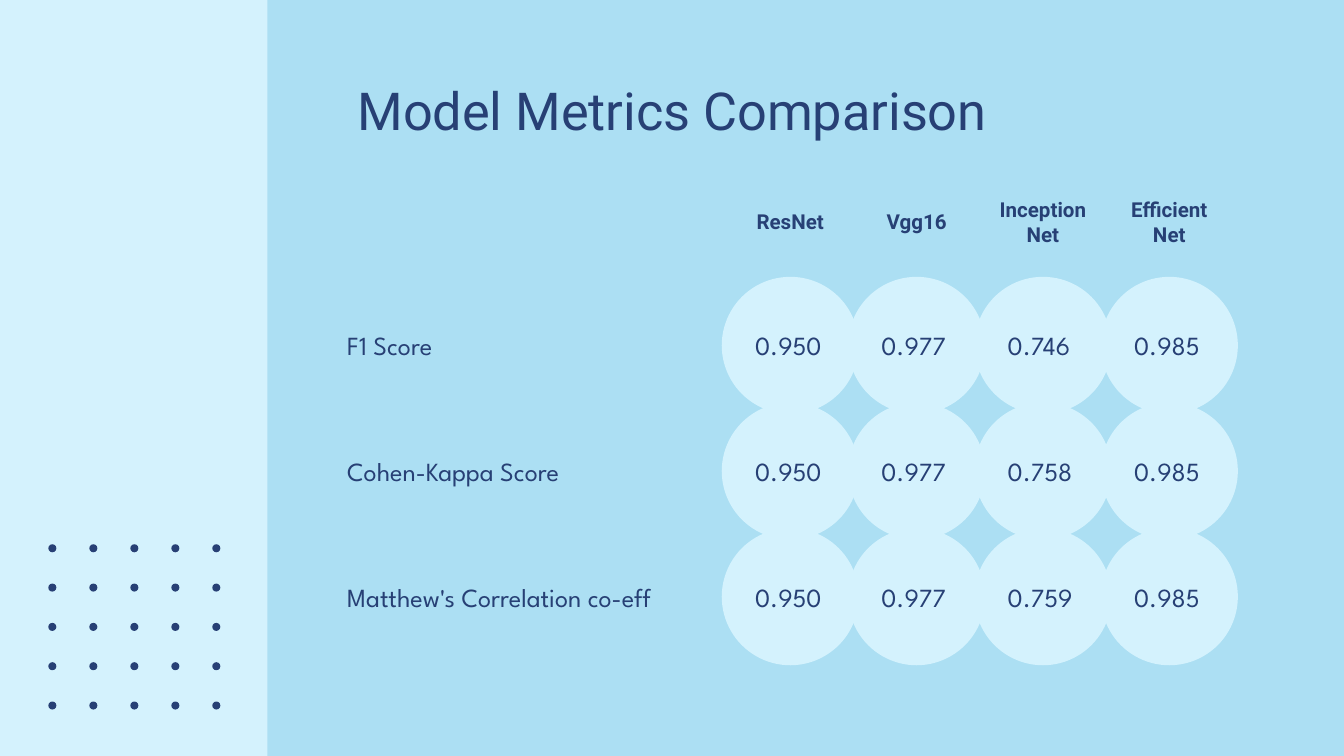
from dataclasses import dataclass
from itertools import product

from pptx import Presentation
from pptx.dml.color import RGBColor
from pptx.enum.shapes import MSO_SHAPE
from pptx.enum.text import MSO_ANCHOR, PP_ALIGN
from pptx.util import Inches, Pt


@dataclass(frozen=True)
class Theme:
    background: str = "ACDFF3"
    light: str = "D4F2FD"
    ink: str = "274075"
    heading_font: str = "Roboto"
    body_font: str = "League Spartan"
    title_size: int = 28
    header_size: int = 11
    body_size: int = 14
    inset: float = 0.1


@dataclass(frozen=True)
class Grid:
    first_x: float
    first_y: float
    span_x: float
    span_y: float
    columns: int
    rows: int

    def x(self, column):
        return self.first_x + column * self.span_x / (self.columns - 1)

    def y(self, row):
        return self.first_y + row * self.span_y / (self.rows - 1)


THEME = Theme()
SLIDE_WIDTH = 10
SLIDE_HEIGHT = SLIDE_WIDTH * 9 / 16
PANEL_WIDTH = 1.99
DOT_SIZE = 0.06
CIRCLE_SIZE = 1.02
LABEL_HEIGHT = 0.53
HEADER_Y = 1.65
DOTS = Grid(0.39, 4.08, 1.22, 1.17, columns=5, rows=5)
SCORES = Grid(5.88, 2.57, 2.82, 1.87, columns=4, rows=3)

MODELS = [["ResNet"], ["Vgg16"], ["Inception", "Net"], ["Efficient", "Net"]]
METRICS = {
    "F1 Score": ["0.950", "0.977", "0.746", "0.985"],
    "Cohen-Kappa Score": ["0.950", "0.977", "0.758", "0.985"],
    "Matthew's Correlation co-eff": ["0.950", "0.977", "0.759", "0.985"],
}


def color(value):
    return RGBColor.from_string(value)


def centered_box(x, y, width, height):
    return [Inches(n) for n in (x - width / 2, y - height / 2, width, height)]


def write_text(shape, lines, size, font, bold=False,
               align=PP_ALIGN.LEFT, anchor=MSO_ANCHOR.MIDDLE):
    frame = shape.text_frame
    frame.word_wrap = True
    frame.vertical_anchor = anchor
    frame.margin_left = frame.margin_right = Inches(THEME.inset)
    frame.margin_top = frame.margin_bottom = Inches(THEME.inset)
    for index, line in enumerate(lines):
        paragraph = frame.add_paragraph() if index else frame.paragraphs[0]
        paragraph.alignment = align
        run = paragraph.add_run()
        run.text = line
        run.font.name = font
        run.font.size = Pt(size)
        run.font.bold = bold
        run.font.color.rgb = color(THEME.ink)


def add_filled(slide, kind, box, fill):
    shape = slide.shapes.add_shape(kind, *box)
    shape.shadow.inherit = False
    shape.fill.solid()
    shape.fill.fore_color.rgb = color(fill)
    shape.line.fill.background()
    return shape


def add_side_panel(slide):
    box = centered_box(PANEL_WIDTH / 2, SLIDE_HEIGHT / 2, PANEL_WIDTH, SLIDE_HEIGHT)
    add_filled(slide, MSO_SHAPE.RECTANGLE, box, THEME.light)
    for column, row in product(range(DOTS.columns), range(DOTS.rows)):
        box = centered_box(DOTS.x(column), DOTS.y(row), DOT_SIZE, DOT_SIZE)
        add_filled(slide, MSO_SHAPE.OVAL, box, THEME.ink)


def add_title(slide, text):
    box = centered_box(SLIDE_WIDTH / 2, 0.8, 8.43, 0.63)
    write_text(slide.shapes.add_textbox(*box), [text], THEME.title_size,
               THEME.heading_font, align=PP_ALIGN.CENTER, anchor=MSO_ANCHOR.TOP)


def add_model_header(slide, column, lines):
    box = centered_box(SCORES.x(column), HEADER_Y, 0.99, LABEL_HEIGHT)
    write_text(slide.shapes.add_textbox(*box), lines, THEME.header_size,
               THEME.heading_font, bold=True, align=PP_ALIGN.CENTER)


def add_metric_label(slide, row, text):
    box = centered_box(3.84, SCORES.y(row), 2.71, LABEL_HEIGHT)
    write_text(slide.shapes.add_textbox(*box), [text],
               THEME.body_size, THEME.body_font)


def add_score(slide, column, row, value):
    box = centered_box(SCORES.x(column), SCORES.y(row), CIRCLE_SIZE, CIRCLE_SIZE)
    circle = add_filled(slide, MSO_SHAPE.OVAL, box, THEME.light)
    write_text(circle, [value], THEME.body_size, THEME.body_font)


def main():
    presentation = Presentation()
    presentation.slide_width = Inches(SLIDE_WIDTH)
    presentation.slide_height = Inches(SLIDE_HEIGHT)
    slide = presentation.slides.add_slide(presentation.slide_layouts[6])
    slide.background.fill.solid()
    slide.background.fill.fore_color.rgb = color(THEME.background)

    add_side_panel(slide)
    add_title(slide, "Model Metrics Comparison")
    for column, lines in enumerate(MODELS):
        add_model_header(slide, column, lines)
    for row, (metric, values) in enumerate(METRICS.items()):
        add_metric_label(slide, row, metric)
        for column, value in enumerate(values):
            add_score(slide, column, row, value)

    presentation.save("out.pptx")


if __name__ == "__main__":
    main()
